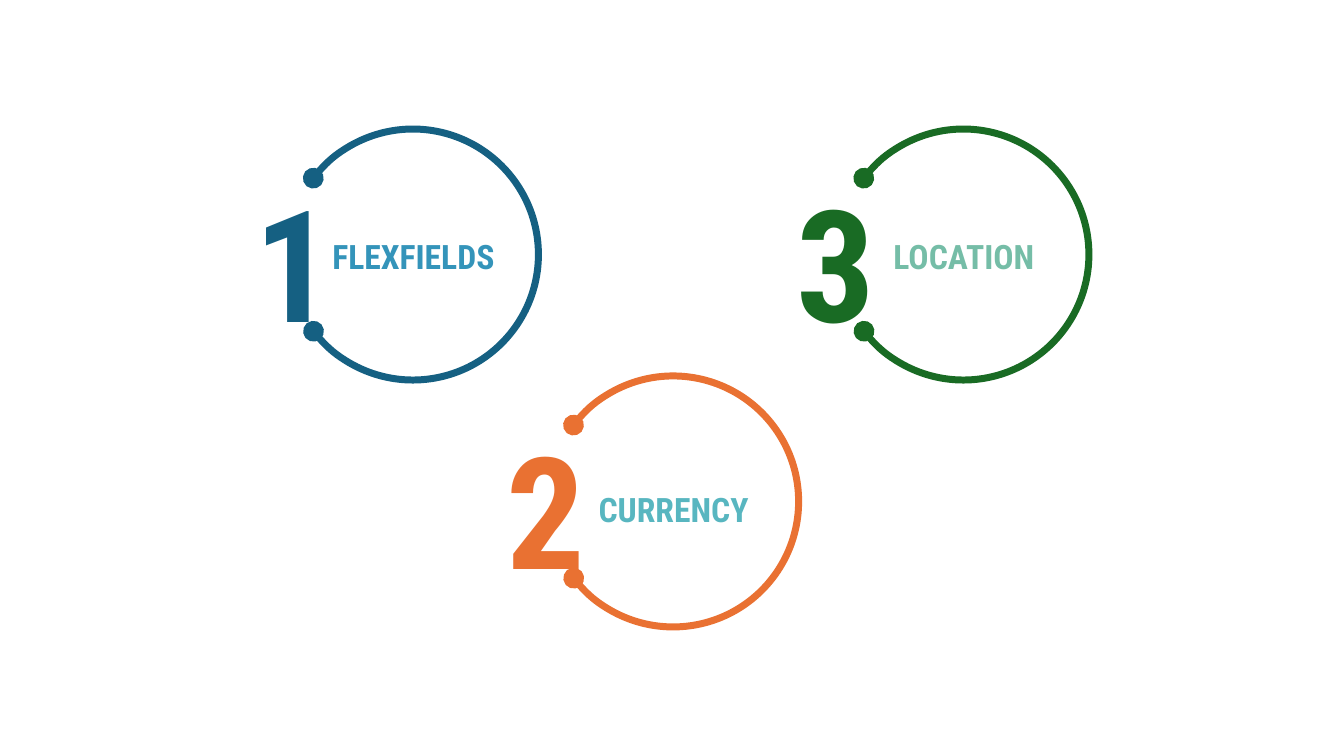
from dataclasses import dataclass

from lxml.etree import SubElement
from pptx import Presentation
from pptx.dml.color import RGBColor
from pptx.enum.shapes import MSO_SHAPE
from pptx.enum.text import MSO_ANCHOR, MSO_AUTO_SIZE, PP_ALIGN
from pptx.oxml.ns import qn
from pptx.util import Inches, Pt

WIDE, HIGH = Inches(13.33), Inches(7.5)


@dataclass(frozen=True)
class Theme:
    font: str = "Roboto Condensed"
    digit: float = 111.3
    label: float = 24
    line: float = 5
    blue: str = "156082"
    orange: str = "E97132"
    green: str = "196B24"
    sky: str = "3494BA"
    teal: str = "58B6C0"
    mint: str = "75BDA7"


THEME = Theme()

# digit, label, ring colour, label colour, ring left and top, digit width, label drop
RINGS = [
    ("1", "FLEXFIELDS", THEME.blue, THEME.sky, 21.38, 17.07, 6, 13.47),
    ("2", "CURRENCY", THEME.orange, THEME.teal, 40.74, 49.73, 7.35, 14.27),
    ("3", "LOCATION", THEME.green, THEME.mint, 62.34, 17.07, 7.35, 13.47),
]


def area(left, top, width, height):
    """Turn percentages of the slide into a box of lengths."""
    return (int(WIDE * left / 100), int(HIGH * top / 100),
            int(WIDE * width / 100), int(HIGH * height / 100))


def add_arc(group, box, color):
    """Draw an open ring with a round dot at each end."""
    arc = group.shapes.add_shape(MSO_SHAPE.ARC, *box)
    arc.shadow.inherit = False
    arc.adjustments[0], arc.adjustments[1] = 130.497, 85.399
    arc.fill.background()
    arc.line.color.rgb = RGBColor.from_string(color)
    arc.line.width = Pt(THEME.line)
    line = arc.line._get_or_add_ln()
    for end in ("a:headEnd", "a:tailEnd"):
        SubElement(line, qn(end), type="oval")


def add_text(group, box, text, size, color, wrap=True):
    frame = group.shapes.add_textbox(*box).text_frame
    frame.word_wrap = wrap
    frame.auto_size = MSO_AUTO_SIZE.SHAPE_TO_FIT_TEXT
    para = frame.paragraphs[0]
    para.alignment = PP_ALIGN.CENTER
    run = para.add_run()
    run.text = text
    run.font.name = THEME.font
    run.font.size = Pt(size)
    run.font.bold = True
    run.font.color.rgb = RGBColor.from_string(color)
    return frame, run


def add_digit(group, box, text, color):
    frame, run = add_text(group, box, text, THEME.digit, color, wrap=False)
    frame.vertical_anchor = MSO_ANCHOR.MIDDLE
    run.font._element.set("spc", "-70")


def add_ring(slide, digit, label, color, tint, left, top, width, drop):
    group = slide.shapes.add_group_shape()
    add_arc(group, area(left, top, 18.68, 33.2), color)
    # The digit is centred on the ring's left edge.
    add_digit(group, area(left - 0.15 - width / 2, top + 4.2, width, 26.27),
              digit, color)
    add_text(group, area(left + 2.33, top + drop, 14.1, 6.67),
             label, THEME.label, tint)


def main():
    deck = Presentation()
    deck.slide_width, deck.slide_height = WIDE, HIGH
    slide = deck.slides.add_slide(deck.slide_layouts[6])
    for ring in RINGS:
        add_ring(slide, *ring)
    deck.save("out.pptx")


if __name__ == "__main__":
    main()
